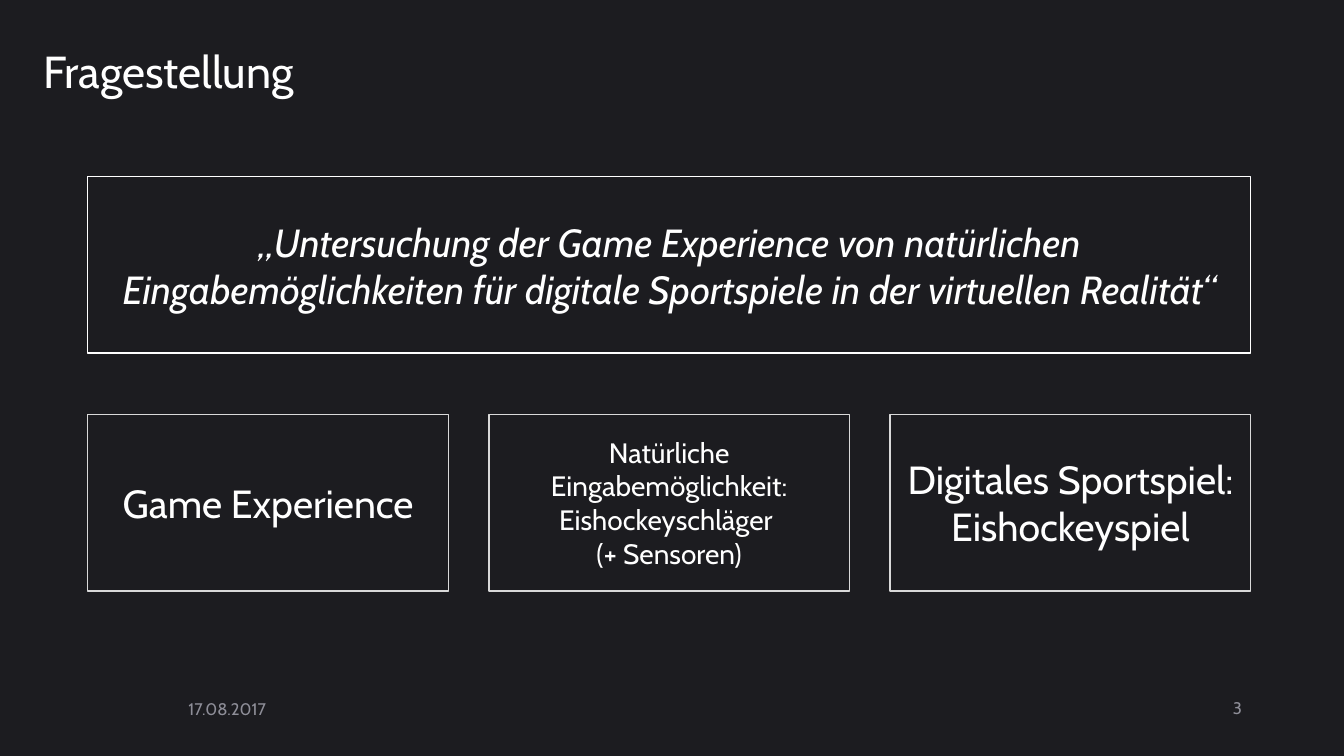
from pptx import Presentation
from pptx.dml.color import RGBColor
from pptx.enum.shapes import MSO_SHAPE
from pptx.enum.text import MSO_ANCHOR, PP_ALIGN
from pptx.util import Cm, Pt

BACKGROUND = RGBColor(0x1C, 0x1C, 0x20)
WHITE = RGBColor(0xFF, 0xFF, 0xFF)
LIGHT_GREY = RGBColor(0xD9, 0xD9, 0xD9)
FOOTER_GREY = RGBColor(0x8E, 0x8E, 0x98)

MARGIN = 2.21
QUOTE_WIDTH = 29.31
BOX_HEIGHT = 4.45
TOPIC_WIDTH = 9.09
TOPIC_TOP = 10.44

TOPICS = [
    (["Game Experience"], 28),
    (["Natürliche Eingabemöglichkeit: Eishockeyschläger ", "(+ Sensoren)"], 20),
    (["Digitales Sportspiel: Eishockeyspiel"], 28),
]


def write(frame, lines, align, spacing=1.0, **font_format):
    frame.word_wrap = True
    frame.vertical_anchor = MSO_ANCHOR.MIDDLE
    color = font_format.pop("color", WHITE)
    for index, line in enumerate(lines):
        paragraph = frame.add_paragraph() if index else frame.paragraphs[0]
        paragraph.alignment = align
        paragraph.line_spacing = spacing
        run = paragraph.add_run()
        run.text = line
        for attribute, value in {"name": "Cabin", **font_format}.items():
            setattr(run.font, attribute, value)
        run.font.color.rgb = color


def add_label(shapes, area, text, align=PP_ALIGN.LEFT, **text_format):
    label = shapes.add_textbox(*map(Cm, area))
    write(label.text_frame, [text], align, **text_format)


def add_outlined_box(shapes, area, lines, outline, **text_format):
    box = shapes.add_shape(MSO_SHAPE.RECTANGLE, *map(Cm, area))
    box.shadow.inherit = False
    box.fill.background()
    box.line.color.rgb = outline
    box.line.width = Pt(1)
    write(box.text_frame, lines, PP_ALIGN.CENTER, **text_format)


def add_topics(shapes):
    topic_group = shapes.add_group_shape()
    pitch = (QUOTE_WIDTH - TOPIC_WIDTH) / (len(TOPICS) - 1)
    for column, (lines, size) in enumerate(TOPICS):
        area = (MARGIN + column * pitch, TOPIC_TOP, TOPIC_WIDTH, BOX_HEIGHT)
        add_outlined_box(topic_group.shapes, area, lines, LIGHT_GREY, size=Pt(size))


def main():
    presentation = Presentation()
    presentation.slide_width = Cm(33.87)
    presentation.slide_height = Cm(19.05)
    slide = presentation.slides.add_slide(presentation.slide_layouts[6])
    slide.background.fill.solid()
    slide.background.fill.fore_color.rgb = BACKGROUND
    shapes = slide.shapes

    footer_format = {"size": Pt(12), "color": FOOTER_GREY}
    add_label(shapes, (4.5, 17.34, 5.46, 1.02), "17.08.2017", **footer_format)
    add_label(shapes, (23.93, 17.33, 7.62, 1.02), "3", PP_ALIGN.RIGHT, **footer_format)
    add_outlined_box(
        shapes,
        (MARGIN, 4.45, QUOTE_WIDTH, BOX_HEIGHT),
        ["„Untersuchung der Game Experience von natürlichen Eingabemöglichkeiten "
         "für digitale Sportspiele in der virtuellen Realität“"],
        WHITE,
        size=Pt(28),
        italic=True,
    )
    add_label(shapes, (0.84, 0.86, 30.78, 2.03), "Fragestellung", spacing=0.9, size=Pt(32))
    add_topics(shapes)

    presentation.save("out.pptx")


if __name__ == "__main__":
    main()
